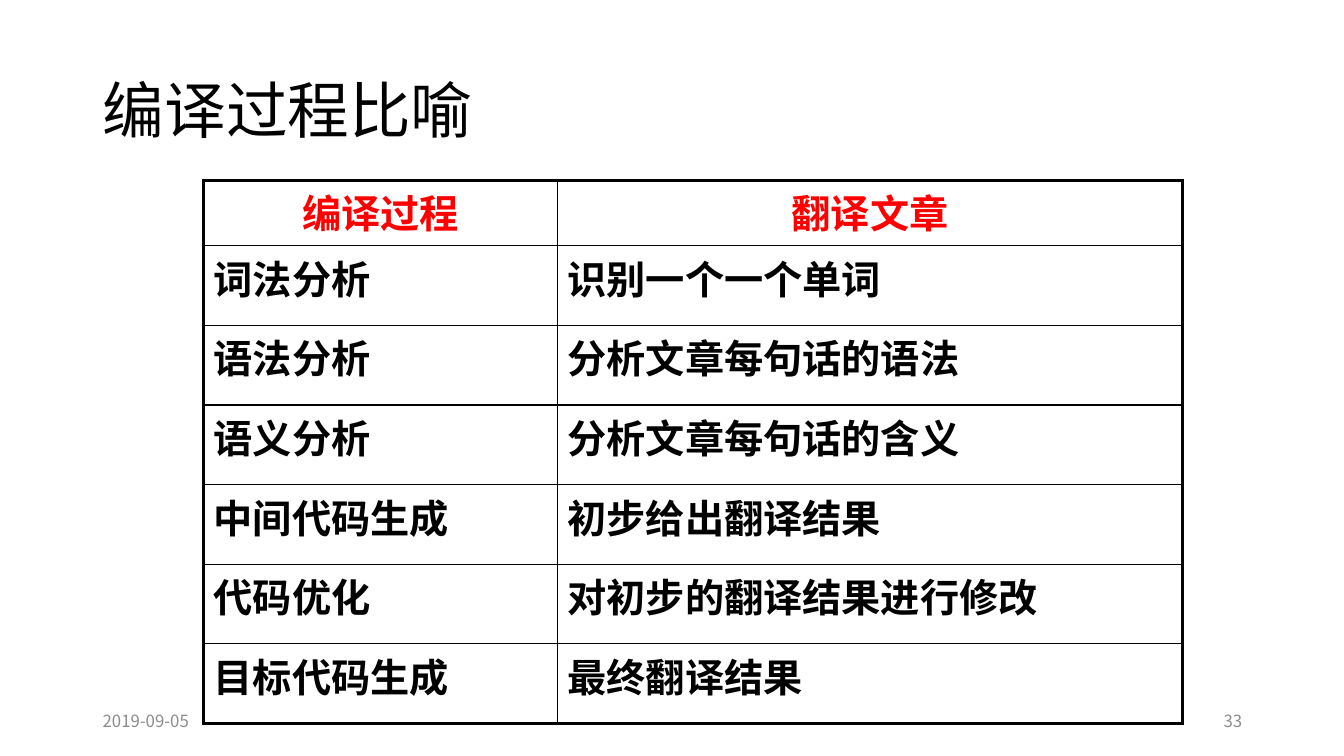
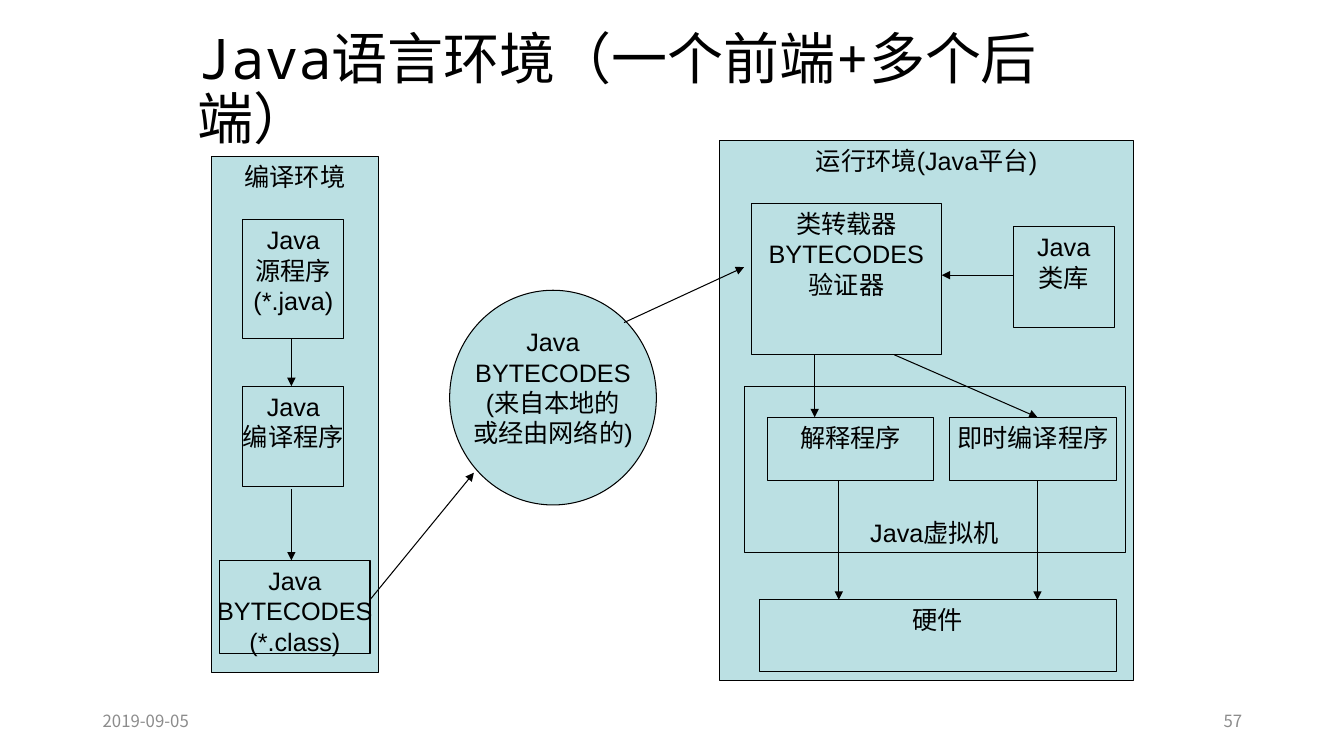
import dataclasses

import pptx
import pptx.dml.color
import pptx.enum.shapes
import pptx.enum.text
import pptx.oxml.ns
import pptx.util
from lxml import etree

ALIGN = pptx.enum.text.PP_ALIGN
ANCHOR = pptx.enum.text.MSO_ANCHOR
SHAPE = pptx.enum.shapes.MSO_SHAPE


@dataclasses.dataclass(frozen=True)
class Theme:
    ink: str = "000000"
    accent: str = "FF0000"
    panel: str = "BBE0E3"
    muted: str = "8C8C8C"
    paper: str = "FFFFFF"
    heading_font: str = "Noto Sans CJK SC"
    mono_font: str = "Noto Sans Mono"
    body_font: str = "Arial"
    title_size: int = 44
    small_title_size: int = 40
    table_size: int = 28
    label_size: int = 18
    footer_size: int = 12
    thin: float = 0.75
    grid: float = 1
    frame: float = 2.25


def px(length):
    return pptx.util.Emu(length * 9144)


def color(value):
    return pptx.dml.color.RGBColor.from_string(value)


def add_element(parent, tag, **attributes):
    return etree.SubElement(parent, pptx.oxml.ns.qn(tag), attributes)


class Deck:
    def __init__(self, theme):
        self.theme = theme
        self.presentation = pptx.Presentation()
        self.presentation.slide_width = px(1333)
        self.presentation.slide_height = px(750)
        self.slide = None

    def start_slide(self, number):
        layout = self.presentation.slide_layouts[5]
        self.slide = self.presentation.slides.add_slide(layout)
        self.footer("2019-09-05", 92, ALIGN.LEFT)
        self.footer(number, 942, ALIGN.RIGHT)

    def fill_text(self, frame, text, font, size, ink, align, bold=False):
        frame.text = text
        for paragraph in frame.paragraphs:
            paragraph.alignment = align
            for run in paragraph.runs:
                run.font.size = pptx.util.Pt(size)
                run.font.bold = bold
                run.font.color.rgb = color(ink)
                run.font.name = font
                add_element(run.font._element, "a:ea", typeface=font)

    def title(self, text, left, top, width, height, font, size):
        shape = self.slide.shapes.title
        shape.left, shape.top = px(left), px(top)
        shape.width, shape.height = px(width), px(height)
        frame = shape.text_frame
        self.fill_text(frame, text, font, size, self.theme.ink, ALIGN.LEFT)
        frame.auto_size = pptx.enum.text.MSO_AUTO_SIZE.NONE
        frame.vertical_anchor = ANCHOR.MIDDLE
        frame.paragraphs[0].line_spacing = 0.9

    def footer(self, text, left, align):
        shape = self.slide.shapes.add_textbox(px(left), px(695), px(300), px(40))
        frame = shape.text_frame
        frame.word_wrap = True
        frame.vertical_anchor = ANCHOR.MIDDLE
        theme = self.theme
        self.fill_text(frame, text, theme.heading_font, theme.footer_size, theme.muted, align)

    def box(self, text, left, top, width, height, fill=None,
            kind=SHAPE.RECTANGLE, anchor=ANCHOR.TOP):
        shape = self.slide.shapes.add_shape(kind, px(left), px(top), px(width), px(height))
        shape.shadow.inherit = False
        if fill:
            shape.fill.solid()
            shape.fill.fore_color.rgb = color(fill)
        else:
            shape.fill.background()
        theme = self.theme
        shape.line.color.rgb = color(theme.ink)
        shape.line.width = pptx.util.Pt(theme.thin)
        frame = shape.text_frame
        frame.word_wrap = False
        frame.vertical_anchor = anchor
        self.fill_text(frame, text, theme.body_font, theme.label_size, theme.ink, ALIGN.CENTER)

    def arrow(self, start_x, start_y, end_x, end_y):
        connector = self.slide.shapes.add_connector(
            pptx.enum.shapes.MSO_CONNECTOR.STRAIGHT,
            px(start_x), px(start_y), px(end_x), px(end_y))
        connector.line.color.rgb = color(self.theme.ink)
        connector.line.width = pptx.util.Pt(self.theme.thin)
        add_element(connector.line._get_or_add_ln(), "a:tailEnd", type="triangle")
        add_element(connector._element.spPr, "a:effectLst")

    def borders(self, cell, outer_sides):
        properties = cell._tc.get_or_add_tcPr()
        for position, side in enumerate(("L", "R", "T", "B")):
            weight = self.theme.frame if side in outer_sides else self.theme.grid
            line = etree.Element(pptx.oxml.ns.qn(f"a:ln{side}"), w=str(int(pptx.util.Pt(weight))))
            fill = add_element(line, "a:solidFill")
            add_element(fill, "a:srgbClr", val=self.theme.ink)
            properties.insert(position, line)

    def table(self, rows, left, top, widths, heights):
        theme = self.theme
        table = self.slide.shapes.add_table(
            len(rows), len(widths), px(left), px(top),
            px(sum(widths)), px(sum(heights))).table
        for column, width in zip(table.columns, widths):
            column.width = px(width)
        last_row, last_column = len(rows) - 1, len(widths) - 1
        for row_index, texts in enumerate(rows):
            table.rows[row_index].height = px(heights[row_index])
            header = row_index == 0
            for column_index, text in enumerate(texts):
                cell = table.cell(row_index, column_index)
                cell.fill.solid()
                cell.fill.fore_color.rgb = color(theme.paper)
                cell.margin_top = px(13)
                self.fill_text(cell.text_frame, text, theme.body_font, theme.table_size,
                               theme.accent if header else theme.ink,
                               ALIGN.CENTER if header else ALIGN.LEFT, bold=True)
                edges = {"L": column_index == 0, "R": column_index == last_column,
                         "T": header, "B": row_index == last_row}
                self.borders(cell, [side for side, outer in edges.items() if outer])


def build_analogy(deck):
    theme = deck.theme
    deck.start_slide("33")
    deck.title("编译过程比喻", 92, 40, 1150, 145, theme.heading_font, theme.title_size)
    rows = [
        ("编译过程", "翻译文章"),
        ("词法分析", "识别一个一个单词"),
        ("语法分析", "分析文章每句话的语法"),
        ("语义分析", "分析文章每句话的含义"),
        ("中间代码生成", "初步给出翻译结果"),
        ("代码优化", "对初步的翻译结果进行修改"),
        ("目标代码生成", "最终翻译结果"),
    ]
    deck.table(rows, 202, 179, (351, 620), [61] + [79] * 6)


def build_java_environment(deck):
    theme = deck.theme
    deck.start_slide("57")
    deck.title("Java语言环境（一个前端+多个后端）", 186, 28, 953, 125,
               theme.mono_font, theme.small_title_size)
    deck.box("编译环境", 210, 155, 165, 512, theme.panel)
    deck.box("运行环境(Java平台)", 714, 139, 410, 536, theme.panel)
    deck.box("Java虚拟机", 738, 383, 378, 165, anchor=ANCHOR.BOTTOM)
    deck.box("Java\nBYTECODES\n(来自本地的\n或经由网络的)", 446, 288, 205, 213,
             theme.panel, SHAPE.OVAL)
    for text, left, top, width, height in (
        ("Java\n源程序\n(*.java)", 241, 218, 100, 118),
        ("Java\n编译程序", 241, 383, 100, 100),
        ("Java\nBYTECODES\n(*.class)", 218, 556, 149, 92),
        ("类转载器\nBYTECODES\n验证器", 745, 202, 189, 150),
        ("Java\n类库", 1005, 225, 100, 100),
        ("解释程序", 761, 414, 165, 63),
        ("即时编译程序", 942, 414, 165, 63),
        ("硬件", 753, 595, 354, 71),
    ):
        deck.box(text, left, top, width, height)
    for start_x, start_y, end_x, end_y in (
        (289, 336, 289, 383),
        (289, 485, 289, 556),
        (367, 595, 470, 469),
        (619, 320, 738, 265),
        (808, 352, 808, 414),
        (887, 352, 1029, 414),
        (1005, 273, 934, 273),
        (832, 477, 832, 595),
        (1029, 477, 1029, 595),
    ):
        deck.arrow(start_x, start_y, end_x, end_y)


def main():
    deck = Deck(Theme())
    build_analogy(deck)
    build_java_environment(deck)
    deck.presentation.save("out.pptx")


if __name__ == "__main__":
    main()
